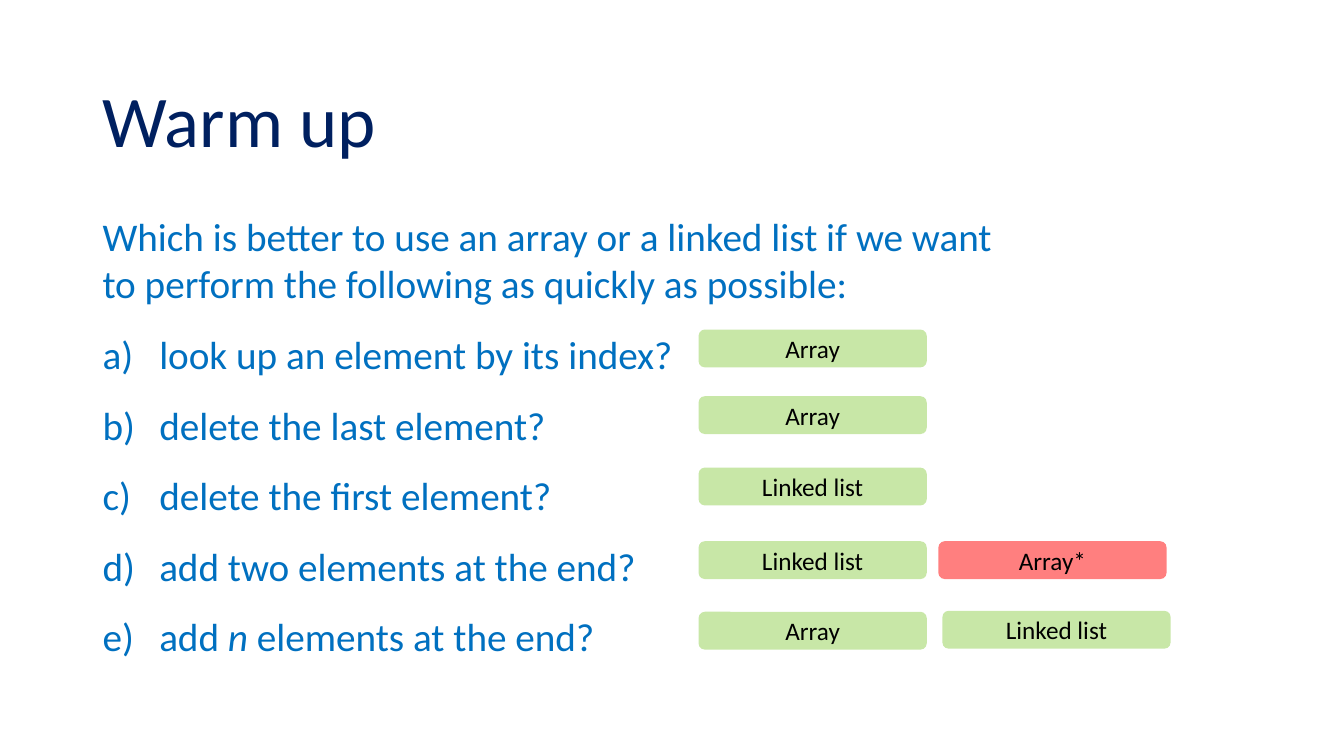
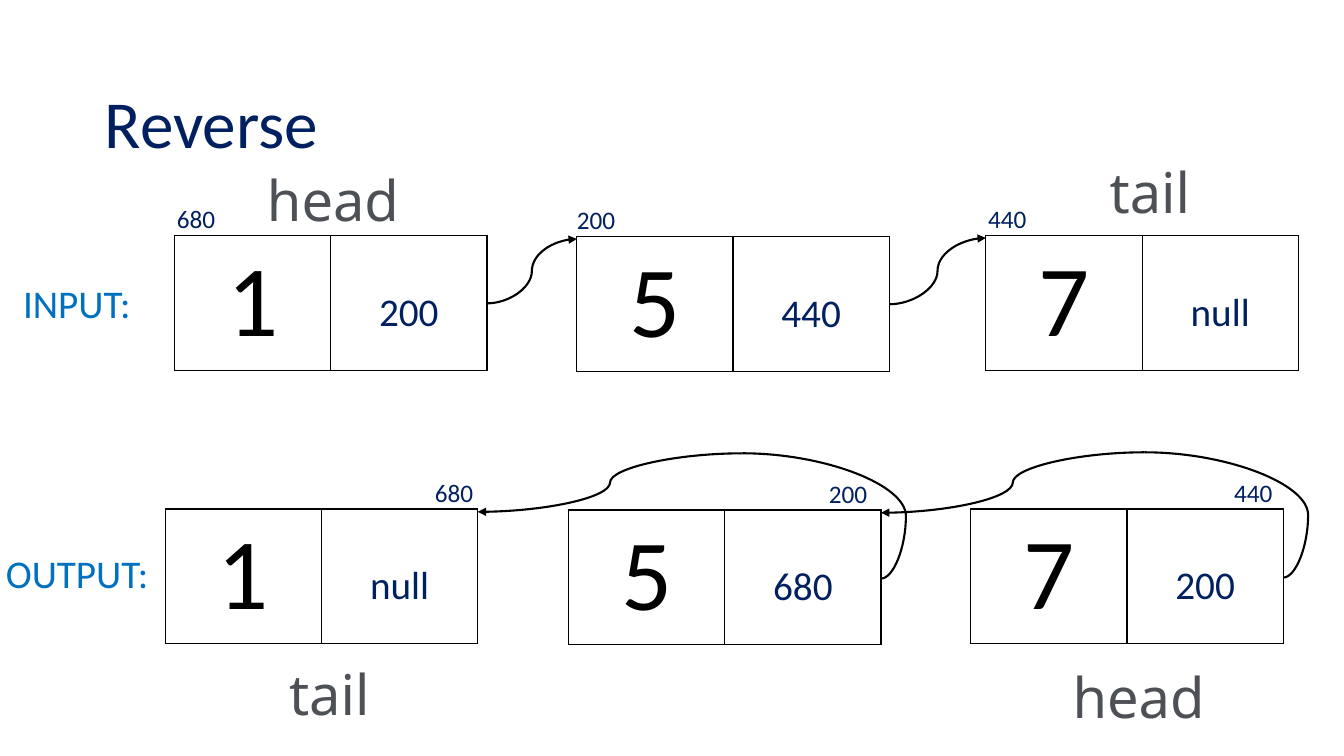
from dataclasses import dataclass
from lxml.etree import SubElement
from pptx import Presentation
from pptx.dml.color import RGBColor
from pptx.enum.shapes import MSO_CONNECTOR, MSO_SHAPE
from pptx.enum.text import MSO_ANCHOR, MSO_AUTO_SIZE, PP_ALIGN
from pptx.oxml.ns import qn
from pptx.util import Pt


@dataclass(frozen=True)
class Theme:
    navy: RGBColor = RGBColor(0x00, 0x20, 0x60)
    blue: RGBColor = RGBColor(0x00, 0x70, 0xC0)
    grey: RGBColor = RGBColor(0x4D, 0x51, 0x56)
    black: RGBColor = RGBColor(0x00, 0x00, 0x00)
    green: RGBColor = RGBColor(0x92, 0xD0, 0x50)
    red: RGBColor = RGBColor(0xFF, 0x00, 0x00)
    font: str = "Calibri"
    label_font: str = "Noto Sans"
    body: int = 28
    small: int = 18
    label: int = 40
    value: int = 72


theme = Theme()


def write(frame, text, size, color, align=PP_ALIGN.LEFT, font=theme.font, wrap=True):
    """Fill the first paragraph of a text frame and style it."""
    frame.word_wrap = wrap
    paragraph = frame.paragraphs[0]
    paragraph.text = text
    paragraph.alignment = align
    paragraph.font.name = font
    paragraph.font.size = Pt(size)
    paragraph.font.color.rgb = color
    return paragraph


def add_curve(slide, start, end, bend=50000, arrow=True):
    """Draw a curved link; bend is the turning point in 1/1000 percent."""
    link = slide.shapes.add_connector(
        MSO_CONNECTOR.CURVE, *(Pt(value) for value in (*start, *end)))
    link.line.color.rgb = theme.black
    link.line.width = Pt(1.5)
    properties = link._element.spPr
    guides = properties.find(qn("a:prstGeom")).find(qn("a:avLst"))
    SubElement(guides, qn("a:gd"), name="adj1", fmla=f"val {bend}")
    if arrow:
        SubElement(properties.find(qn("a:ln")), qn("a:tailEnd"), type="triangle")
    SubElement(properties, qn("a:effectLst"))


deck = Presentation()
deck.slide_width, deck.slide_height = Pt(960), Pt(540)

# Slides and titles
slides = []
for title_text, size, left, top, width, height in (
    ("Warm up", 52, 66.2, 44, 828, 89),
    ("Reverse", 48, 67.7, 38, 562, 105),
):
    slide = deck.slides.add_slide(deck.slide_layouts[5])
    title = slide.shapes.title
    title.left, title.top = Pt(left), Pt(top)
    title.width, title.height = Pt(width), Pt(height)
    title.text_frame.auto_size = MSO_AUTO_SIZE.NONE
    title.text_frame.vertical_anchor = MSO_ANCHOR.MIDDLE
    write(title.text_frame, title_text, size, theme.navy).line_spacing = 0.9
    slides.append(slide)
warm_up, reverse = slides

# Warm up: question and lettered list
question = warm_up.shapes.add_textbox(Pt(66.2), Pt(148.3), Pt(664), Pt(324)).text_frame
write(question, "Which is better to use an array or a linked list if we want",
      theme.body, theme.blue)
operations = (
    ("look up an element by its index?",),
    ("delete the last element?",),
    ("delete the first element?",),
    ("add two elements at the end?",),
    ("add ", "n", " elements at the end?"),
)
lines = (("to perform the following as quickly as possible:",), *operations)
for number, pieces in enumerate(lines):
    line = question.add_paragraph()
    line.font.name = theme.font
    line.font.size = Pt(theme.body)
    line.font.color.rgb = theme.blue
    for piece in pieces:
        run = line.add_run()
        run.text = piece
        if piece == "n":
            run.font.italic = True
    if number:
        line.line_spacing = 1.5
        layout = line._p.get_or_add_pPr()
        layout.set("marL", str(Pt(40.5)))
        layout.set("indent", str(-Pt(40.5)))
        lettering = layout.makeelement(qn("a:buAutoNum"), {"type": "alphaLcParenR"})
        layout.find(qn("a:defRPr")).addprevious(lettering)

# Warm up: answers
for text, color, left, top in (
    ("Array", theme.green, 499, 235.4),
    ("Array", theme.green, 499, 283),
    ("Linked list", theme.green, 499, 334),
    ("Linked list", theme.green, 499, 386.6),
    ("Array*", theme.red, 670.3, 386.6),
    ("Array", theme.green, 499, 437),
    ("Linked list", theme.green, 673.2, 436.3),
):
    answer = warm_up.shapes.add_shape(
        MSO_SHAPE.ROUNDED_RECTANGLE, Pt(left), Pt(top), Pt(163), Pt(27))
    answer.shadow.inherit = False
    answer.line.fill.background()
    answer.fill.solid()
    answer.fill.fore_color.rgb = color
    tint = answer._element.spPr.find(qn("a:solidFill"))[0]
    SubElement(tint, qn("a:alpha"), val="50000")
    answer.text_frame.vertical_anchor = MSO_ANCHOR.MIDDLE
    write(answer.text_frame, text, theme.small, theme.black, PP_ALIGN.CENTER)

# Reverse: list nodes as (value, next, left, top, address, address left)
CELL_WIDTH, NODE_HEIGHT = 111.6, 96
NODE_WIDTH = 2 * CELL_WIDTH
input_nodes = (
    ("1", "200", 124.6, 168.5, "680", 108),
    ("5", "440", 412, 169.2, "200", 393.8),
    ("7", "null", 704.2, 168.5, "440", 687.6),
)
output_nodes = (
    ("1", "null", 118.1, 363.6, "680", 292.3),
    ("5", "680", 406.1, 364.3, "200", 573.8),
    ("7", "200", 693.4, 363.6, "440", 863.3),
)
for value, pointer, left, top, address, address_left in input_nodes + output_nodes:
    node = reverse.shapes.add_table(
        1, 2, Pt(left), Pt(top), Pt(NODE_WIDTH), Pt(NODE_HEIGHT)).table
    node.first_row = node.horz_banding = False
    for column, (text, size, color) in enumerate((
        (value, theme.value, theme.black),
        (pointer, theme.body, theme.navy),
    )):
        node.columns[column].width = Pt(CELL_WIDTH)
        cell = node.cell(0, column)
        write(cell.text_frame, text, size, color, PP_ALIGN.CENTER)
        borders = cell._tc.get_or_add_tcPr()
        for side in ("a:lnL", "a:lnR", "a:lnT", "a:lnB"):
            border = SubElement(borders, qn(side), w=str(Pt(1)))
            ink = SubElement(border, qn("a:solidFill"))
            SubElement(ink, qn("a:srgbClr"), val=str(theme.black))
        cell.fill.background()
    node.cell(0, 1).margin_top = Pt(37.8)
    tag = reverse.shapes.add_textbox(Pt(address_left), Pt(top - 26.5), Pt(64), Pt(29))
    write(tag.text_frame, address, theme.small, theme.navy, PP_ALIGN.CENTER)

# Reverse: links forward in the input, back in the output
for (_, _, left, top, *_), (_, _, next_left, next_top, *_) in zip(
        input_nodes, input_nodes[1:]):
    add_curve(reverse, (left + NODE_WIDTH, top + 48.2), (next_left, next_top + 1.5))
for (_, _, back_left, back_top, *_), (_, _, left, top, *_) in zip(
        output_nodes, output_nodes[1:]):
    right = left + NODE_WIDTH
    crest = (right - 99, top - 40.5)
    add_curve(reverse, (right, top + 49), crest, bend=-18000, arrow=False)
    add_curve(reverse, crest, (back_left + NODE_WIDTH, back_top + 2))

# Reverse: row names and end labels
for text, left, top, width in (("INPUT:", 9.4, 195.8, 92), ("OUTPUT:", -2.9, 389, 117)):
    row_name = reverse.shapes.add_textbox(Pt(left), Pt(top), Pt(width), Pt(41))
    write(row_name.text_frame, text, theme.body, theme.blue, wrap=False)
for text, left, top in (
    ("head", 183.6, 114.5),
    ("head", 759, 469.4),
    ("tail", 785.5, 108.7),
    ("tail", 199.4, 467.3),
):
    end_label = reverse.shapes.add_textbox(Pt(left), Pt(top), Pt(120), Pt(55.4))
    write(end_label.text_frame, text, theme.label, theme.grey, font=theme.label_font)

deck.save("out.pptx")
